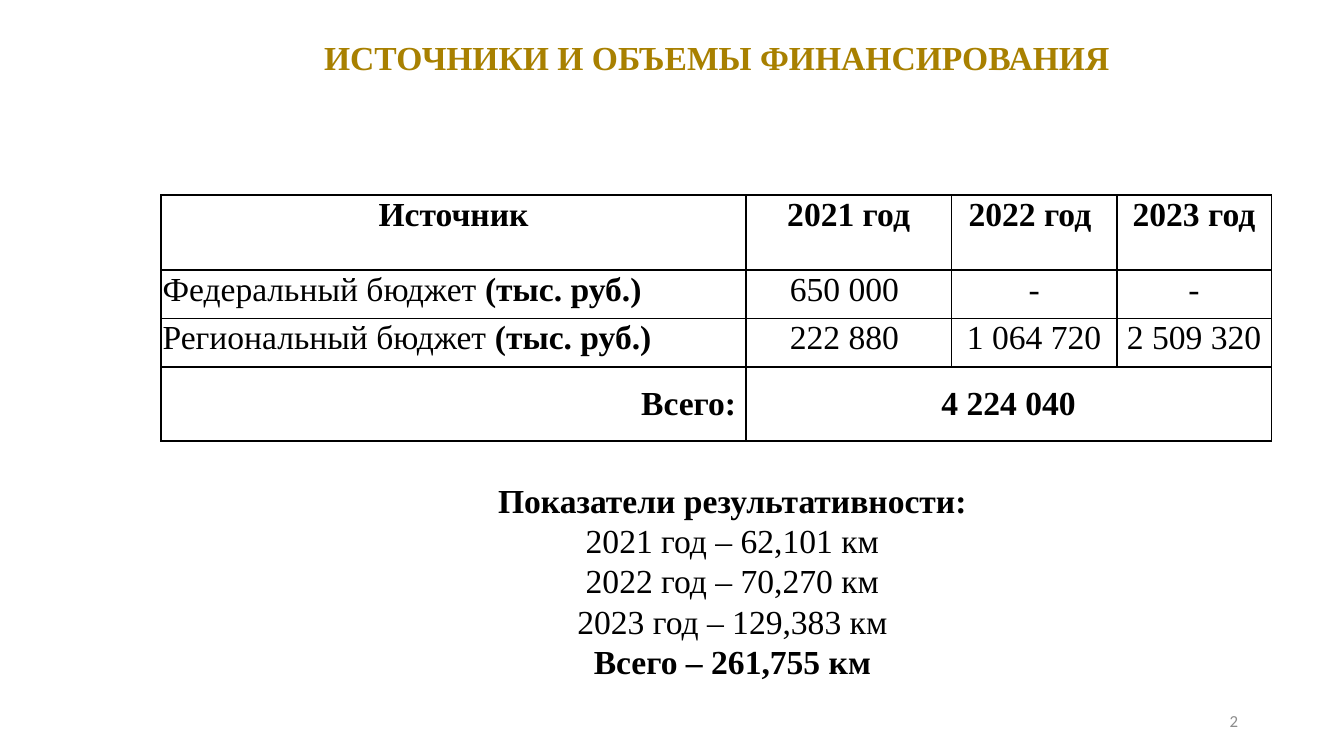
from lxml import etree
from pptx import Presentation
from pptx import util as u
from pptx.dml.color import RGBColor
from pptx.enum import text as t
from pptx.oxml import ns

BLACK = RGBColor(0x00, 0x00, 0x00)
GOLD = RGBColor(0xA8, 0x80, 0x00)
GRAY = RGBColor(0x8C, 0x8C, 0x8C)
LEFT, CENTER, RIGHT = t.PP_ALIGN.LEFT, t.PP_ALIGN.CENTER, t.PP_ALIGN.RIGHT
MIDDLE, TOP = t.MSO_ANCHOR.MIDDLE, t.MSO_ANCHOR.TOP

BODY = {"name": "Times New Roman", "size": u.Pt(18), "bold": False}
NUMBER = {"name": "Calibri", "size": u.Pt(9), "bold": False}

TITLE = "ИСТОЧНИКИ И ОБЪЕМЫ ФИНАНСИРОВАНИЯ"
UNIT = ("(тыс. руб.)", True)
HEADERS = ["Источник", "2021 год", "2022 год ", "2023 год"]
BUDGETS = [
    ("Федеральный бюджет ", ["650 000 ", "-", "-"]),
    ("Региональный бюджет ", ["222 880\u00a0", "1 064 720", "2 509 320"]),
]
TOTALS = [("Всего: ", RIGHT), ("4 224 040", CENTER)]
RESULTS = [
    ("Показатели результативности:", True),
    ("2021 год – 62,101 км", False),
    ("2022 год – 70,270 км", False),
    ("2023 год – 129,383 км", False),
    ("Всего – 261,755 км", True),
]
SLIDE_WIDTH = 10
SLIDE_HEIGHT = SLIDE_WIDTH * 9 / 16
COLUMN_WIDTHS = [4.35, 1.53, 1.23, 1.15]
ROW_HEIGHTS = [0.56, 0.36, 0.36, 0.55]


def inches(*lengths):
    return [u.Inches(length) for length in lengths]


def write(paragraph, runs, alignment, font=BODY, color=BLACK):
    paragraph.alignment = alignment
    for content, bold in runs:
        run = paragraph.add_run()
        run.text = content
        for name, value in {**font, "bold": bold}.items():
            setattr(run.font, name, value)
        run.font.color.rgb = color


def add_text(slide, box, lines, alignment, anchor, font=BODY, color=BLACK):
    frame = slide.shapes.add_textbox(*inches(*box)).text_frame
    frame.word_wrap = True
    frame.vertical_anchor = anchor
    for index, line in enumerate(lines):
        paragraph = frame.add_paragraph() if index else frame.paragraphs[0]
        write(paragraph, [line], alignment, font, color)


def add_borders(cell):
    properties = cell._tc.get_or_add_tcPr()
    for side in ("lnL", "lnR", "lnT", "lnB"):
        line = etree.SubElement(properties, ns.qn("a:" + side), w=str(u.Pt(1)))
        fill = etree.SubElement(line, ns.qn("a:solidFill"))
        etree.SubElement(fill, ns.qn("a:srgbClr"), val=str(BLACK))


def add_budget_table(slide):
    rows = [[([(header, True)], CENTER) for header in HEADERS]]
    for source, amounts in BUDGETS:
        rows.append([([(source, False), UNIT], LEFT)]
                    + [([(amount, False)], CENTER) for amount in amounts])
    rows.append([([(content, True)], alignment) for content, alignment in TOTALS])

    box = inches(1.2, 1.45, sum(COLUMN_WIDTHS), sum(ROW_HEIGHTS))
    table = slide.shapes.add_table(len(rows), len(HEADERS), *box).table
    table.first_row = table.horz_banding = False
    for column, width in zip(table.columns, COLUMN_WIDTHS):
        column.width = u.Inches(width)
    for row, height in zip(table.rows, ROW_HEIGHTS):
        row.height = u.Inches(height)

    last = len(rows) - 1
    table.cell(last, 1).merge(table.cell(last, len(HEADERS) - 1))
    for cell in table.iter_cells():
        add_borders(cell)
        cell.fill.background()
        cell.margin_left = cell.margin_right = cell.margin_top = u.Inches(0.01)
        cell.margin_bottom = 0
    for row_index, row in enumerate(rows):
        for column_index, (runs, alignment) in enumerate(row):
            cell = table.cell(row_index, column_index)
            cell.vertical_anchor = MIDDLE if row_index == last else TOP
            write(cell.text_frame.paragraphs[0], runs, alignment)


def main():
    presentation = Presentation()
    presentation.slide_width, presentation.slide_height = inches(SLIDE_WIDTH, SLIDE_HEIGHT)
    slide = presentation.slides.add_slide(presentation.slide_layouts[5])

    title = slide.shapes.title
    title.left, title.top, title.width, title.height = inches(0.94, 0.21, 8.79, 0.47)
    title.text_frame.vertical_anchor = MIDDLE
    heading = title.text_frame.paragraphs[0]
    heading.line_spacing = 0.9
    write(heading, [(TITLE, True)], CENTER, color=GOLD)

    add_budget_table(slide)
    add_text(slide, (2.95, 3.52, 5, 1.62), RESULTS, CENTER, TOP)
    add_text(slide, (7.06, 5.21, 2.25, 0.3), [("2", False)], RIGHT, MIDDLE, NUMBER, GRAY)
    presentation.save("out.pptx")


if __name__ == "__main__":
    main()
